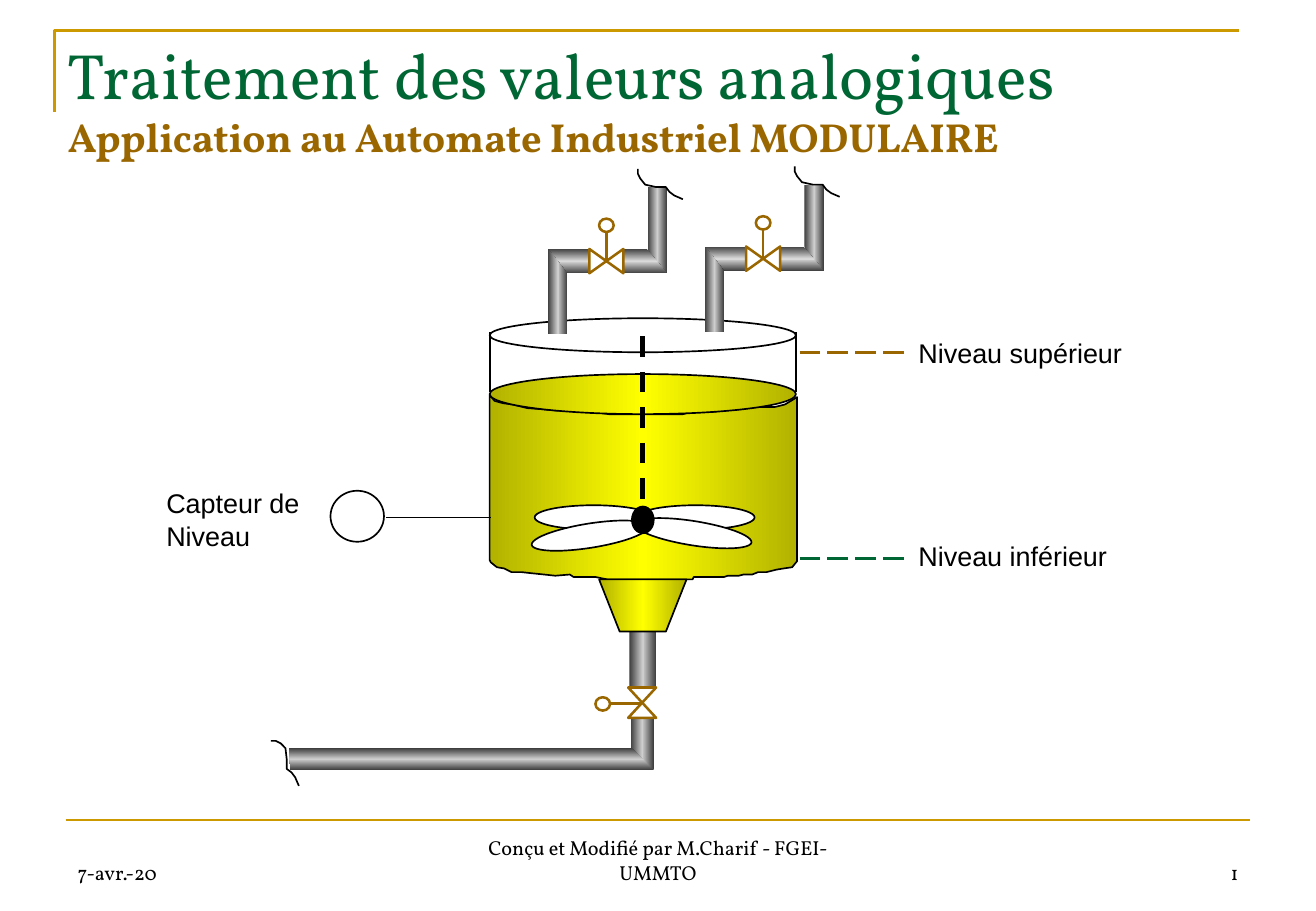
from copy import deepcopy
from dataclasses import dataclass
from typing import Optional, Union

from lxml import etree
from pptx import Presentation
from pptx import util as u
from pptx.dml.color import RGBColor
from pptx.enum import dml, shapes, text
from pptx.oxml.ns import qn

PX = 9144  # EMU in one px, with 100 px to the inch


@dataclass(frozen=True)
class Theme:
    rule: str = "CC9900"
    green: str = "006633"
    brown: str = "996600"
    black: str = "000000"
    white: str = "FFFFFF"
    liquid: tuple[str, str] = ("B2B200", "FFFF00")
    pipe_across: tuple[str, str] = ("414141", "DADADA")
    pipe_upright: tuple[str, str] = ("3D3D3D", "CECECE")
    serif: str = "Vollkorn"
    sans: str = "Arial"
    title_size: int = 38
    subtitle_size: int = 24
    label_size: int = 16
    footer_size: int = 12
    thin: float = 1
    medium: float = 1.5
    thick: float = 3


THEME = Theme()
Point = tuple[int, int]


@dataclass(frozen=True)
class Gradient:
    edge: str
    core: str
    angle: int = 0


@dataclass(frozen=True)
class Paint:
    fill: Optional[Union[str, Gradient]] = None
    line: Optional[str] = THEME.black
    width: float = THEME.thin
    dash: Optional[dml.MSO_LINE] = None


@dataclass(frozen=True)
class Outline:
    points: tuple[Point, ...]
    paint: Paint
    closed: bool = True


@dataclass(frozen=True)
class Ellipse:
    box: tuple[int, int, int, int]
    paint: Paint
    rotation: int = 0


@dataclass(frozen=True)
class Line:
    start: Point
    end: Point
    paint: Paint


@dataclass(frozen=True)
class Run:
    words: str
    size: int
    font: str = THEME.serif
    color: str = THEME.black
    bold: bool = False


@dataclass(frozen=True)
class Label:
    box: tuple[int, int, int, int]
    lines: tuple[Run, ...]
    anchor: text.MSO_ANCHOR = text.MSO_ANCHOR.TOP
    align: text.PP_ALIGN = text.PP_ALIGN.LEFT
    wraps: bool = True


Part = Union[Outline, Ellipse, Line, Label]

INK = Paint()
BLADE = Paint(THEME.white)
VALVE = Paint(THEME.white, THEME.brown, THEME.medium)
RULE = Paint(None, THEME.rule, THEME.medium)
LIQUID = Paint(Gradient(*THEME.liquid))
ACROSS = Paint(Gradient(*THEME.pipe_across, 90), None)
UPRIGHT = Paint(Gradient(*THEME.pipe_upright), None)
DRAIN = Paint(Gradient(*THEME.pipe_upright, 90), None)


def set_all(target, values: dict) -> None:
    for name, value in values.items():
        setattr(target, name, value)


def apply_line(line, paint: Paint) -> None:
    if paint.line is None:
        line.fill.background()
        return
    line.color.rgb = RGBColor.from_string(paint.line)
    set_all(line, {"width": u.Pt(paint.width), "dash_style": paint.dash})


def apply_paint(shape, paint: Paint) -> None:
    shape.shadow.inherit = False
    apply_line(shape.line, paint)
    fill = shape.fill
    if paint.fill is None:
        fill.background()
    elif isinstance(paint.fill, str):
        fill.solid()
        fill.fore_color.rgb = RGBColor.from_string(paint.fill)
    else:
        fill.gradient()
        fill.gradient_angle = paint.fill.angle
        stop_list = next(shape._element.iter(qn("a:gsLst")))
        stop_list.insert(1, deepcopy(stop_list[0]))
        colors = (paint.fill.edge, paint.fill.core, paint.fill.edge)
        for stop, position, color in zip(fill.gradient_stops, (0, 0.5, 1), colors):
            stop.position = position
            stop.color.rgb = RGBColor.from_string(color)


def draw_label(slide, label: Label) -> None:
    frame = slide.shapes.add_textbox(*(v * PX for v in label.box)).text_frame
    fit = text.MSO_AUTO_SIZE.NONE if label.wraps else text.MSO_AUTO_SIZE.SHAPE_TO_FIT_TEXT
    set_all(frame, {"word_wrap": label.wraps, "auto_size": fit,
                    "vertical_anchor": label.anchor})
    for index, line in enumerate(label.lines):
        paragraph = frame.add_paragraph() if index else frame.paragraphs[0]
        paragraph.alignment = label.align
        run = paragraph.add_run()
        run.text = line.words
        set_all(run.font, {"name": line.font, "size": u.Pt(line.size), "bold": line.bold})
        run.font.color.rgb = RGBColor.from_string(line.color)


def draw(slide, part: Part) -> None:
    if isinstance(part, Label):
        draw_label(slide, part)
    elif isinstance(part, Line):
        ends = (v * PX for v in (*part.start, *part.end))
        connector = slide.shapes.add_connector(shapes.MSO_CONNECTOR.STRAIGHT, *ends)
        apply_line(connector.line, part.paint)
        etree.SubElement(connector._element.spPr, qn("a:effectLst"))
    elif isinstance(part, Ellipse):
        oval = slide.shapes.add_shape(shapes.MSO_SHAPE.OVAL, *(v * PX for v in part.box))
        oval.rotation = part.rotation
        apply_paint(oval, part.paint)
    else:
        pen = slide.shapes.build_freeform(*part.points[0], scale=PX)
        pen.add_line_segments(part.points[1:], close=part.closed)
        apply_paint(pen.convert_to_shape(), part.paint)


def inlet(x: int, y: int) -> list[Part]:
    """Feed pipe with its valve; (x, y) is the top left of the lower elbow."""
    def at(*offsets: Point) -> tuple[Point, ...]:
        return tuple((x + dx, y + dy) for dx, dy in offsets)

    return [
        Outline(at((34, 0), (34, 20), (16, 20), (0, 0)), ACROSS),
        Outline(at((82, -51), (98, -51), (98, 20), (82, 0)), UPRIGHT),
        Outline(at((62, 20), (62, 0), (81, 0), (98, 20)), ACROSS),
        Outline(at((74, -66), (74, -62), (76, -58), (80, -53), (89, -51), (97, -51),
                   (100, -47), (104, -44), (111, -41)), INK, closed=False),
        Line(*at((48, 10), (48, -15)), VALVE),
        Outline(at((62, 0), (34, 20), (34, 0), (62, 20)), VALVE),
        Outline(at((16, 70), (0, 70), (0, 0), (16, 20)), UPRIGHT),
        Ellipse((x + 42, y - 25, 12, 11), VALVE),
    ]


def label(x: int, y: int, width: int, *lines: str) -> Label:
    runs = tuple(Run(line, THEME.label_size, THEME.sans) for line in lines)
    return Label((x, y, width, 8 + 28 * len(lines)), runs, wraps=False)


def footer(x: int, width: int, words: str, align: text.PP_ALIGN) -> Label:
    return Label((x, 683, width, 50), (Run(words, THEME.footer_size),),
                 text.MSO_ANCHOR.BOTTOM, align)


LIQUID_BODY = (
    (403, 325), (407, 330), (414, 332), (422, 333), (434, 336), (447, 337), (458, 338),
    (472, 338), (489, 339), (501, 341), (562, 341), (570, 339), (587, 339), (595, 338),
    (609, 337), (623, 335), (638, 335), (646, 333), (651, 330), (656, 327), (656, 462),
    (652, 467), (645, 468), (639, 469), (631, 471), (624, 471), (619, 473), (612, 473),
    (608, 474), (599, 474), (596, 475), (571, 475), (570, 477), (500, 477), (490, 475),
    (472, 475), (469, 473), (457, 474), (448, 473), (438, 472), (429, 471), (421, 471),
    (415, 468), (409, 467), (404, 463), (403, 461))

FRAME: list[Part] = [
    Outline(((45, 92), (45, 25), (1020, 25)), RULE, closed=False),
    Line((54, 675), (1029, 675), RULE),
    footer(54, 253, "7-avr.-20", text.PP_ALIGN.LEFT),
    footer(370, 343, "Conçu et Modifié par M.Charif - FGEI- UMMTO", text.PP_ALIGN.CENTER),
    footer(776, 253, "1", text.PP_ALIGN.RIGHT),
    Label((46, 18, 975, 125), (
        Run("Traitement des valeurs analogiques", THEME.title_size, color=THEME.green),
        Run("Application au Automate Industriel MODULAIRE", THEME.subtitle_size,
            color=THEME.brown, bold=True)), text.MSO_ANCHOR.MIDDLE),
]
TANK: list[Part] = [
    Outline(LIQUID_BODY, LIQUID),
    Ellipse((403, 262, 252, 28), INK),
    Ellipse((403, 308, 252, 33), LIQUID),
    *(Line((x, 323), (x, 273), INK) for x in (403, 655)),
]
MIXER: list[Part] = [
    *(Ellipse((x, y, 97, 20), BLADE, rotation) for x, y, rotation in
      ((440, 416, 0), (524, 416, 0), (522, 429, 9), (437, 431, 351))),
    Ellipse((520, 417, 18, 22), Paint(THEME.black)),
    Line((529, 277), (529, 424), Paint(width=THEME.thick, dash=dml.MSO_LINE.DASH)),
]
OUTLET: list[Part] = [
    Outline(((518, 566), (540, 566), (540, 487), (518, 509)), UPRIGHT),
    Outline(((493, 477), (510, 520), (548, 520), (565, 477)), LIQUID),
    Outline(((519, 591), (538, 591), (538, 633), (519, 621)), UPRIGHT),
    Line((528, 579), (500, 579), VALVE),
    Outline(((517, 566), (540, 591), (517, 591), (540, 566)), VALVE),
    Ellipse((490, 574, 12, 11), VALVE),
    Outline(((239, 634), (538, 634), (520, 616), (238, 616)), DRAIN),
    Outline(((223, 610), (227, 610), (231, 612), (235, 616), (236, 625), (236, 633),
             (240, 636), (243, 640), (246, 647)), INK, closed=False),
]
LEVELS: list[Part] = [
    Ellipse((272, 404, 44, 42), INK),
    Line((318, 426), (404, 426), INK),
    label(127, 396, 131, "Capteur de", "Niveau"),
    *(Line((658, y), (749, y), Paint(None, color, THEME.medium, dml.MSO_LINE.LONG_DASH))
      for y, color in ((460, THEME.green), (290, THEME.brown))),
    label(746, 272, 188, "Niveau supérieur"),
    label(746, 439, 175, "Niveau inférieur"),
]


def main() -> None:
    deck = Presentation()
    set_all(deck, {"slide_width": 1083 * PX, "slide_height": 750 * PX})
    slide = deck.slides.add_slide(deck.slide_layouts[6])
    inlets = inlet(451, 205) + inlet(580, 203)
    for part in FRAME + TANK + MIXER + inlets + OUTLET + LEVELS:
        draw(slide, part)
    deck.save("out.pptx")


if __name__ == "__main__":
    main()
